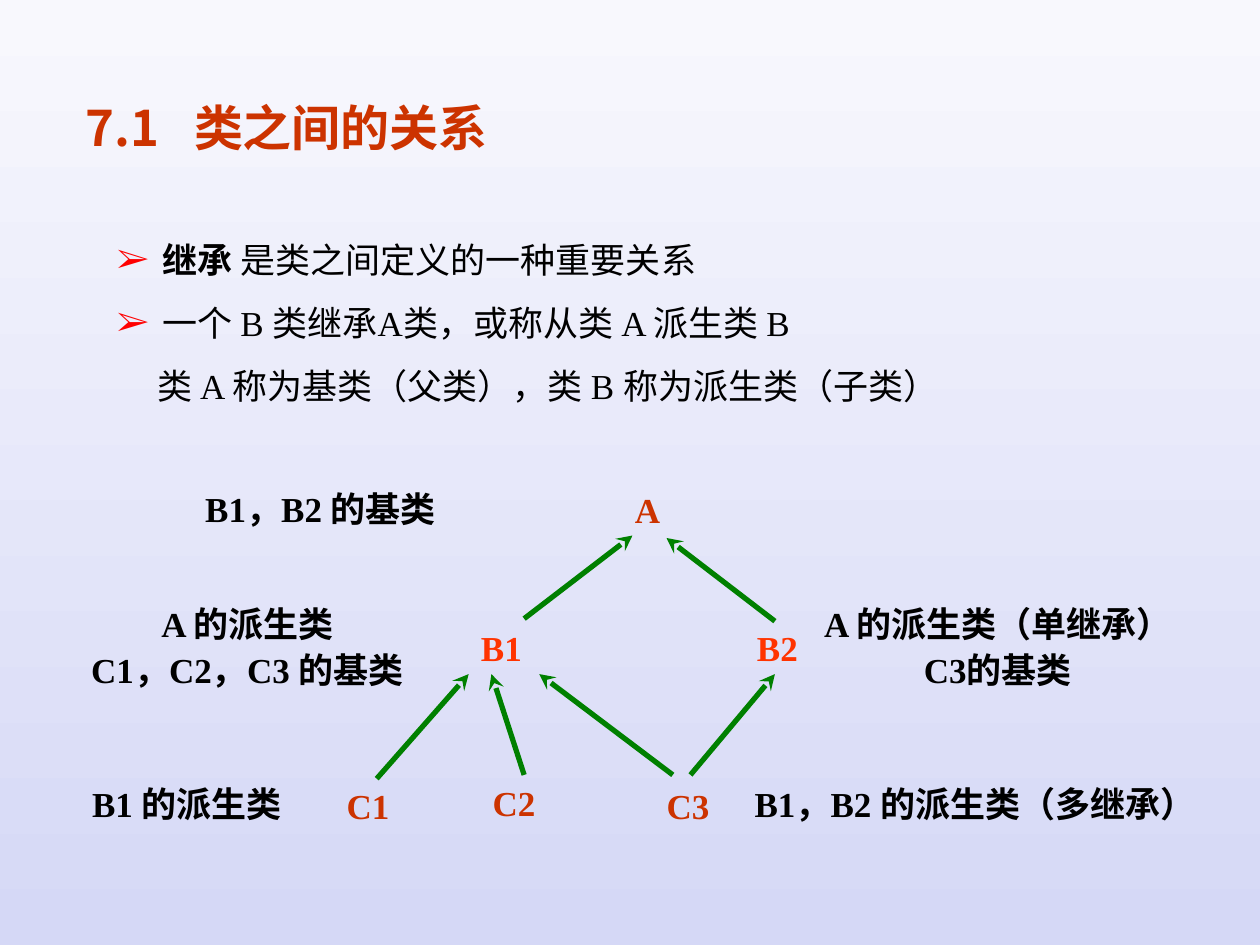
"""Build a slide on inheritance between classes, with a class hierarchy."""
from dataclasses import dataclass

from lxml.etree import SubElement
from pptx import Presentation
from pptx.dml.color import RGBColor
from pptx.enum.shapes import MSO_CONNECTOR
from pptx.enum.text import MSO_ANCHOR, MSO_AUTO_SIZE, PP_ALIGN
from pptx.oxml.ns import qn
from pptx.util import Inches, Pt

RUST = RGBColor(0xCC, 0x33, 0x00)
ORANGE = RGBColor(0xFF, 0x33, 0x00)
RED = RGBColor(0xFF, 0x00, 0x00)
BLACK = RGBColor(0x00, 0x00, 0x00)
GREEN = RGBColor(0x00, 0x80, 0x00)
PALE = RGBColor(0xF8, 0xF8, 0xFD)
LAVENDER = RGBColor(0xD5, 0xD8, 0xF6)
CHINESE_FONT = "Noto Sans CJK SC"
LATIN_FONT = "Times New Roman"
BODY_FORMAT = {"name": LATIN_FONT, "size": Pt(20), "bold": False}
LABEL_FORMAT = BODY_FORMAT | {"bold": True}
TITLE_FORMAT = {"name": CHINESE_FONT, "size": Pt(28), "bold": True}
LABEL_HEIGHT = 0.44


@dataclass
class Label:
    lines: list[str]
    left: float
    top: float
    width: float
    color: RGBColor = BLACK
    height: float = LABEL_HEIGHT
    anchor: MSO_ANCHOR = MSO_ANCHOR.TOP
    spacing: float = 1.0


@dataclass
class Arrow:
    parent: tuple[float, float]
    child: tuple[float, float]


@dataclass
class BodyLine:
    runs: list[tuple[str, bool]]
    margin: float
    bullet: bool


def class_name(name: str, left: float, top: float, width: float, color: RGBColor = RUST) -> Label:
    return Label([name], left, top, width, color, anchor=MSO_ANCHOR.MIDDLE)


LABELS = [
    class_name("A", 4.92, 3.82, 0.44),
    class_name("B1", 3.7, 4.92, 0.56, ORANGE),
    class_name("B2", 5.89, 4.92, 0.56, ORANGE),
    class_name("C1", 2.63, 6.17, 0.58),
    class_name("C2", 3.79, 6.15, 0.58),
    class_name("C3", 5.17, 6.17, 0.58),
    Label(["B1，B2 的基类"], 1.41, 3.82, 2.27),
    Label(["A 的派生类", "C1，C2，C3 的基类"], 0.43, 4.7, 3.07, height=0.84, spacing=1.1),
    Label(["A 的派生类（单继承）", "C3的基类"], 6.38, 4.7, 3.08, height=0.84, spacing=1.1),
    Label(["B1 的派生类"], 0.57, 6.16, 1.83),
    Label(["B1，B2 的派生类（多继承）"], 5.77, 6.16, 3.94),
]
ARROWS = [
    Arrow((5.02, 4.25), (4.16, 4.91)),
    Arrow((5.29, 4.27), (6.15, 4.93)),
    Arrow((3.72, 5.35), (2.99, 6.18)),
    Arrow((3.9, 5.35), (4.16, 6.15)),
    Arrow((4.28, 5.35), (5.34, 6.15)),
    Arrow((6.15, 5.35), (5.48, 6.15)),
]
BODY = [
    BodyLine([("继承 ", True), ("是类之间定义的一种重要关系", False)], 0.36, True),
    BodyLine([("一个 B 类继承A类，或称从类 A 派生类 B", False)], 0.36, True),
    BodyLine([("类 A 称为基类（父类），类 B 称为派生类（子类）", False)], 0.32, False),
]


def format_font(font, color: RGBColor, values: dict) -> None:
    for name, value in values.items():
        setattr(font, name, value)
    font.color.rgb = color


def add_text_box(slide, left: float, top: float, width: float, height: float, anchor, wrap: bool):
    shape = slide.shapes.add_textbox(Inches(left), Inches(top), Inches(width), Inches(height))
    frame = shape.text_frame
    frame.word_wrap = wrap
    frame.auto_size = MSO_AUTO_SIZE.SHAPE_TO_FIT_TEXT
    frame.vertical_anchor = anchor
    return frame


def next_paragraph(frame, index: int):
    return frame.add_paragraph() if index else frame.paragraphs[0]


def add_title(slide) -> None:
    title = slide.shapes.title
    position = {"left": 0.58, "top": 0.67, "width": 6.08, "height": 0.67}
    for name, value in position.items():
        setattr(title, name, Inches(value))
    frame = title.text_frame
    frame.vertical_anchor = MSO_ANCHOR.MIDDLE
    frame.auto_size = MSO_AUTO_SIZE.NONE
    paragraph = frame.paragraphs[0]
    paragraph.alignment = PP_ALIGN.LEFT
    tabs = SubElement(paragraph._p.get_or_add_pPr(), qn("a:tabLst"))
    SubElement(tabs, qn("a:tab"), pos=str(Inches(0.86)), algn="l")
    run = paragraph.add_run()
    run.text = "7.1\t类之间的关系"
    format_font(run.font, RUST, TITLE_FORMAT)
    SubElement(run.font._element, qn("a:ea"), typeface=CHINESE_FONT)


def add_body(slide) -> None:
    frame = add_text_box(slide, 0.83, 1.68, 7.81, 1.6, MSO_ANCHOR.MIDDLE, True)
    for index, line in enumerate(BODY):
        paragraph = next_paragraph(frame, index)
        paragraph.line_spacing = 1.5
        properties = paragraph._p.get_or_add_pPr()
        properties.set("marL", str(Inches(line.margin)))
        properties.set("indent", str(-Inches(line.margin) if line.bullet else 0))
        if line.bullet:
            bullet_color = SubElement(properties, qn("a:buClr"))
            SubElement(bullet_color, qn("a:srgbClr"), val=str(RED))
            SubElement(properties, qn("a:buFont"), typeface=LATIN_FONT)
            SubElement(properties, qn("a:buChar"), char="➢")
        for text, bold in line.runs:
            run = paragraph.add_run()
            run.text = text
            format_font(run.font, BLACK, BODY_FORMAT | {"bold": bold})


def add_label(slide, label: Label) -> None:
    frame = add_text_box(slide, label.left, label.top, label.width, label.height, label.anchor, False)
    for index, text in enumerate(label.lines):
        paragraph = next_paragraph(frame, index)
        paragraph.alignment = PP_ALIGN.CENTER
        paragraph.line_spacing = label.spacing
        run = paragraph.add_run()
        run.text = text
        format_font(run.font, label.color, LABEL_FORMAT)


def add_arrow(slide, arrow: Arrow) -> None:
    ends = [Inches(value) for value in (*arrow.parent, *arrow.child)]
    connector = slide.shapes.add_connector(MSO_CONNECTOR.STRAIGHT, *ends)
    connector.line.color.rgb = GREEN
    connector.line.width = Pt(3)
    SubElement(connector.line._get_or_add_ln(), qn("a:headEnd"), type="stealth")
    SubElement(connector._element.spPr, qn("a:effectLst"))


def main() -> None:
    presentation = Presentation()
    presentation.slide_width = Inches(10)
    presentation.slide_height = Inches(7.5)
    slide = presentation.slides.add_slide(presentation.slide_layouts[5])
    fill = slide.background.fill
    fill.gradient()
    fill.gradient_angle = 270
    for stop, color in zip(fill.gradient_stops, (PALE, LAVENDER)):
        stop.color.rgb = color
    add_title(slide)
    add_body(slide)
    for label in LABELS:
        add_label(slide, label)
    for arrow in ARROWS:
        add_arrow(slide, arrow)
    presentation.save("out.pptx")


if __name__ == "__main__":
    main()
